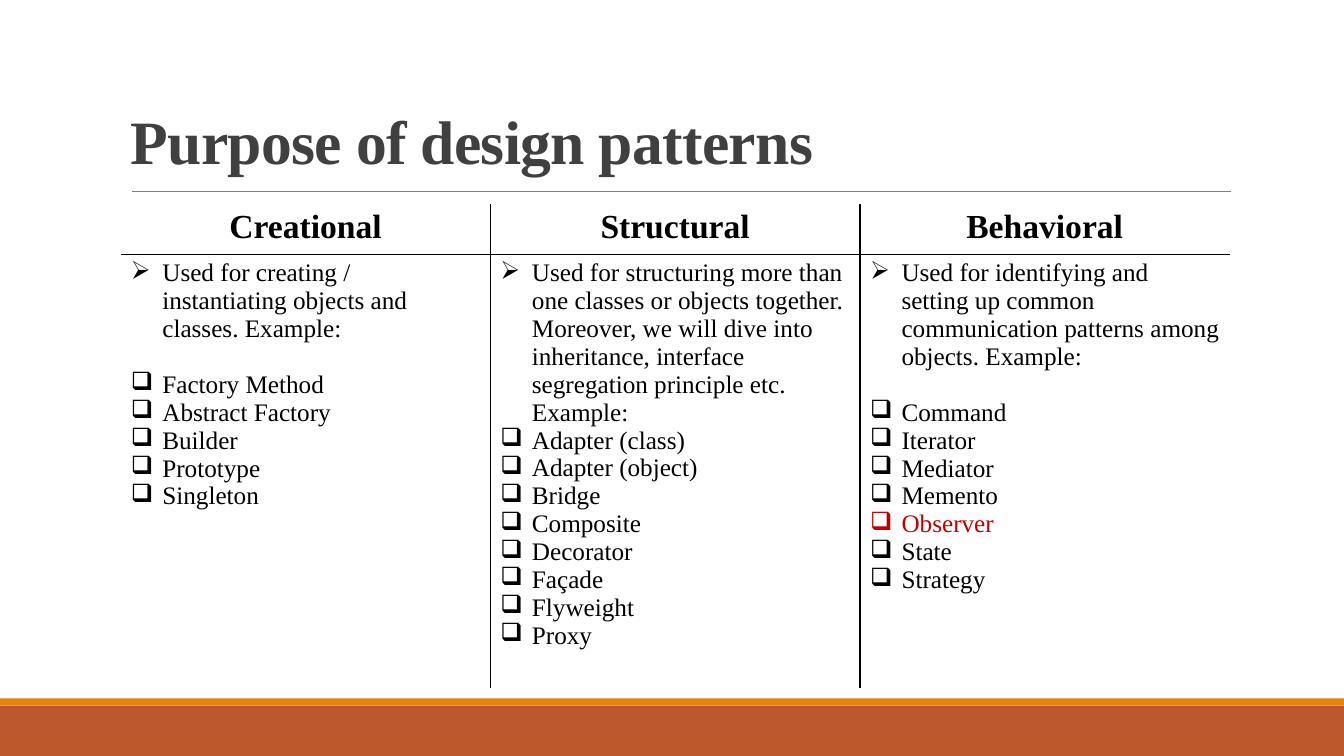
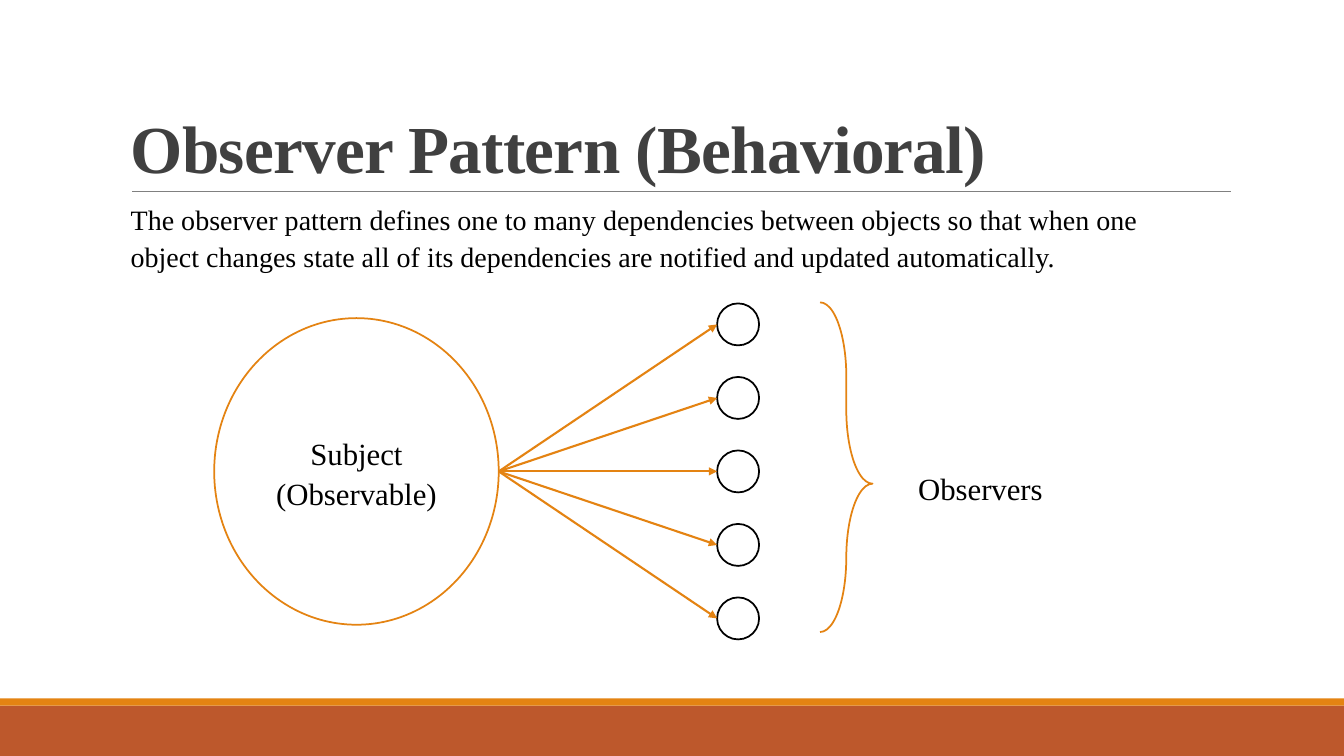
import pptx
import pptx.dml.color
import pptx.enum.shapes
import pptx.enum.text
import pptx.oxml
import pptx.oxml.ns
import pptx.util
from lxml import etree

RGBColor = pptx.dml.color.RGBColor
Shape = pptx.enum.shapes.MSO_SHAPE
Align = pptx.enum.text.PP_ALIGN
Anchor = pptx.enum.text.MSO_ANCHOR
qn = pptx.oxml.ns.qn

BLACK = RGBColor(0x00, 0x00, 0x00)
WHITE = RGBColor(0xFF, 0xFF, 0xFF)
GREY = RGBColor(0x80, 0x80, 0x80)
CHARCOAL = RGBColor(0x40, 0x40, 0x40)
ORANGE = RGBColor(0xE4, 0x83, 0x12)
RUST = RGBColor(0xBD, 0x58, 0x2C)
RED = RGBColor(0xC0, 0x00, 0x00)

FONT = "Times New Roman"
PAGE_WIDTH, PAGE_HEIGHT = 1280, 720
EMU_PER_PX = 9525
LEFT, CONTENT_WIDTH = 115, 1056
BULLET_INDENT = 30
ARROW, CHECKBOX = "➢", "❑"

PATTERN_GROUPS = [
    ("Creational",
     "Used for creating / instantiating objects and classes. Example:",
     20,
     ["Factory Method", "Abstract Factory", "Builder", "Prototype", "Singleton"]),
    ("Structural",
     "Used for structuring more than one classes or objects together. Moreover, we will "
     "dive into inheritance, interface segregation principle etc. Example:",
     0,
     ["Adapter (class)", "Adapter (object)", "Bridge", "Composite", "Decorator",
      "Façade", "Flyweight", "Proxy"]),
    ("Behavioral",
     "Used for identifying and setting up common communication patterns among objects. "
     "Example:",
     20,
     ["Command", "Iterator", "Mediator", "Memento", "Observer", "State", "Strategy"]),
]


def px(*lengths):
    return [pptx.util.Emu(length * EMU_PER_PX) for length in lengths]


def write(frame, text, *, size, color=BLACK, bold=False, align=Align.LEFT,
          leading=None, before=0, bullet=None, tracking=None):
    """Fill the frame's empty first paragraph, or add one after the others."""
    first = frame.paragraphs[0]
    para = frame.add_paragraph() if first.runs else first
    para.alignment = align
    if leading:
        para.line_spacing = leading
    if before:
        para.space_before = pptx.util.Pt(before)
    if bullet:
        properties = para._p.get_or_add_pPr()
        properties.set("marL", str(BULLET_INDENT * EMU_PER_PX))
        properties.set("indent", str(-BULLET_INDENT * EMU_PER_PX))
        etree.SubElement(properties, qn("a:buChar")).set("char", bullet)
    span = para.add_run()
    span.text = text
    span.font.name = FONT
    span.font.size = pptx.util.Pt(size)
    span.font.bold = bold
    span.font.color.rgb = color
    if tracking:
        span.font._element.set("spc", str(tracking))


def set_border(cell, side, visible):
    """Draw or hide one side of a cell: L, R, T or B, called in that order."""
    border = etree.SubElement(cell._tc.get_or_add_tcPr(), qn(f"a:ln{side}"))
    border.set("w", str(pptx.util.Pt(1)))
    if visible:
        fill = etree.SubElement(border, qn("a:solidFill"))
        etree.SubElement(fill, qn("a:srgbClr")).set("val", str(BLACK))
    else:
        etree.SubElement(border, qn("a:noFill"))


class Deck:
    def __init__(self):
        self.file = pptx.Presentation()
        self.file.slide_width, self.file.slide_height = px(PAGE_WIDTH, PAGE_HEIGHT)
        self.page = None

    def new_page(self, title, size, title_top):
        self.page = self.file.slides.add_slide(self.file.slide_layouts[6])
        self.shape(Shape.RECTANGLE, 0, 672, PAGE_WIDTH, 48, fill=RUST)
        self.shape(Shape.RECTANGLE, 0, 665, PAGE_WIDTH, 7, fill=ORANGE)
        self.line(126, 182, 1172, 182, GREY, 0.5)
        frame = self.text_box(LEFT, title_top, CONTENT_WIDTH, 153, Anchor.BOTTOM)
        write(frame, title, size=size, color=CHARCOAL, bold=True, leading=0.85,
              tracking=-50)

    def shape(self, kind, left, top, width, height, fill=None, outline=None):
        shape = self.page.shapes.add_shape(kind, *px(left, top, width, height))
        shape.shadow.inherit = False
        if fill is None:
            shape.fill.background()
        else:
            shape.fill.solid()
            shape.fill.fore_color.rgb = fill
        if outline is None:
            shape.line.fill.background()
        else:
            shape.line.color.rgb = outline
            shape.line.width = pptx.util.Pt(1.25)
        return shape

    def line(self, x1, y1, x2, y2, color, weight, arrow=False):
        line = self.page.shapes.add_connector(
            pptx.enum.shapes.MSO_CONNECTOR.STRAIGHT, *px(x1, y1, x2, y2))
        line.line.color.rgb = color
        line.line.width = pptx.util.Pt(weight)
        if arrow:
            etree.SubElement(line.line._get_or_add_ln(),
                             qn("a:tailEnd")).set("type", "triangle")
        etree.SubElement(line._element.spPr, qn("a:effectLst"))

    def text_box(self, left, top, width, height, anchor=Anchor.TOP):
        box = self.page.shapes.add_textbox(*px(left, top, width, height))
        box.text_frame.word_wrap = True
        box.text_frame.vertical_anchor = anchor
        return box.text_frame

    def table(self, left, top, column_width, row_heights, columns):
        """Add a table ruled only between its cells."""
        rows = len(row_heights)
        table = self.page.shapes.add_table(
            rows, columns,
            *px(left, top, column_width * columns, sum(row_heights))).table
        table.first_row = table.horz_banding = False
        for column in table.columns:
            column.width, = px(column_width)
        for row, height in zip(table.rows, row_heights):
            row.height, = px(height)
        for r in range(rows):
            for c in range(columns):
                cell = table.cell(r, c)
                set_border(cell, "L", c > 0)
                set_border(cell, "R", c < columns - 1)
                set_border(cell, "T", r > 0)
                set_border(cell, "B", r < rows - 1)
                cell.fill.background()
        return table


def add_purpose_page(deck):
    deck.new_page("Purpose of design patterns", 44, 20)
    table = deck.table(LEFT, 194, 352, [45, 382], len(PATTERN_GROUPS))
    for column, (name, purpose, gap, patterns) in enumerate(PATTERN_GROUPS):
        write(table.cell(0, column).text_frame, name, size=24, bold=True,
              align=Align.CENTER)
        body = table.cell(1, column).text_frame
        write(body, purpose, size=18, bullet=ARROW)
        for index, pattern in enumerate(patterns):
            write(body, pattern, size=18, bullet=CHECKBOX,
                  before=0 if index else gap,
                  color=RED if pattern == "Observer" else BLACK)


def add_observer_page(deck):
    deck.new_page("Observer Pattern (Behavioral)", 48, 30)
    subject_left, subject_width, middle = 204, 271, 449
    subject = deck.shape(Shape.OVAL, subject_left, 303, subject_width, 292,
                         fill=WHITE, outline=ORANGE)
    subject.text_frame.vertical_anchor = Anchor.MIDDLE
    for text in ("Subject", "(Observable)"):
        write(subject.text_frame, text, size=22, align=Align.CENTER, leading=1.1)

    observer_left, diameter, step = 683, 40, 70
    for offset in range(-2, 3):
        center = middle + offset * step
        deck.shape(Shape.OVAL, observer_left, center - diameter // 2,
                   diameter, diameter, fill=WHITE, outline=BLACK)
        deck.line(subject_left + subject_width, middle, observer_left, center,
                  ORANGE, 1.5, arrow=True)

    brace = deck.shape(Shape.RIGHT_BRACE, 781, 288, 50, 314, outline=ORANGE)
    brace.adjustments[0] = 2.36
    brace.adjustments[1] = 0.55
    write(deck.text_box(865, 439, 192, 45), "Observers", size=22, leading=1.1)
    write(deck.text_box(LEFT, 185, 1045, 74),
          "The observer pattern defines one to many dependencies between objects so that "
          "when one object changes state all of its dependencies are notified and updated "
          "automatically.", size=20, leading=1.1)


def main():
    deck = Deck()
    add_purpose_page(deck)
    add_observer_page(deck)
    deck.file.save("out.pptx")


if __name__ == "__main__":
    main()
